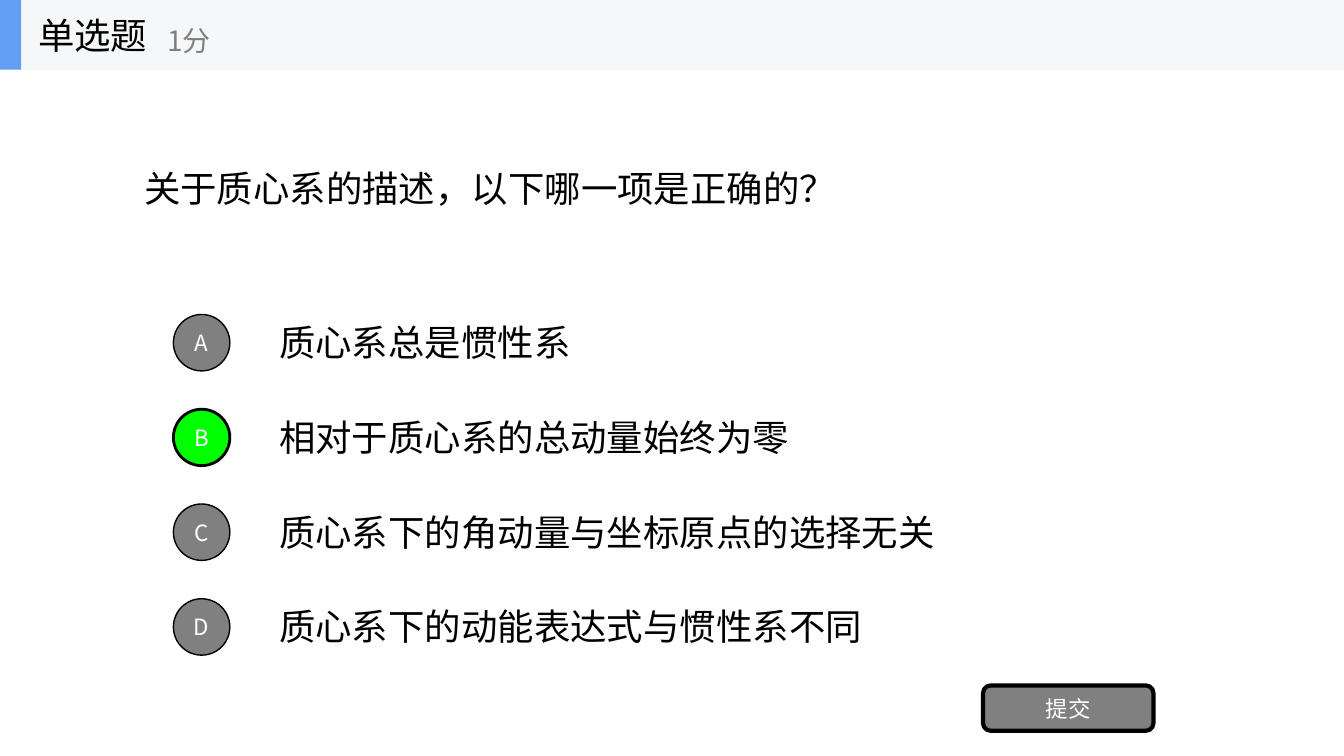
from dataclasses import dataclass

from lxml import etree
from pptx import Presentation
from pptx.dml.color import RGBColor
from pptx.enum.shapes import MSO_SHAPE
from pptx.enum.text import MSO_ANCHOR, PP_ALIGN
from pptx.oxml.ns import qn
from pptx.util import Inches, Pt

RECT = MSO_SHAPE.RECTANGLE
ROUNDED = MSO_SHAPE.ROUNDED_RECTANGLE
OVAL = MSO_SHAPE.OVAL
MIDDLE = MSO_ANCHOR.MIDDLE
LEFT = PP_ALIGN.LEFT
CENTER = PP_ALIGN.CENTER


@dataclass(frozen=True)
class Theme:
    font: str = "Noto Sans CJK SC"
    ink: str = "000000"
    muted: str = "808080"
    light: str = "FFFFFF"
    correct: str = "00FF00"
    band: str = "F6F7F8"
    accent: str = "639EF4"
    body: int = 26
    points: int = 20
    label: int = 16


THEME = Theme()
OPTIONS = [
    ("A", "质心系总是惯性系"),
    ("B", "相对于质心系的总动量始终为零"),
    ("C", "质心系下的角动量与坐标原点的选择无关"),
    ("D", "质心系下的动能表达式与惯性系不同"),
]
ANSWER = "B"


def write(sp, text, size, color, align=LEFT, inset=0.1):
    tf = sp.text_frame
    tf.word_wrap = True
    tf.vertical_anchor = MIDDLE
    tf.margin_left = tf.margin_right = Inches(inset)
    tf.margin_top = tf.margin_bottom = 0
    tf.text = text
    p = tf.paragraphs[0]
    p.alignment = align
    font = p.runs[0].font
    font.size = Pt(size)
    font.color.rgb = RGBColor.from_string(color)
    font.name = THEME.font
    ea = etree.SubElement(p.runs[0]._r.get_or_add_rPr(), qn("a:ea"))
    ea.set("typeface", THEME.font)


def add_text(shapes, box, text, size, color):
    sp = shapes.add_textbox(*map(Inches, box))
    write(sp, text, size, color)


def add_shape(shapes, kind, box, fill, line=0):
    sp = shapes.add_shape(kind, *map(Inches, box))
    sp.shadow.inherit = False
    sp.fill.solid()
    sp.fill.fore_color.rgb = RGBColor.from_string(fill)
    if line:
        sp.line.color.rgb = RGBColor.from_string(THEME.ink)
        sp.line.width = Pt(line)
    else:
        sp.line.fill.background()
    return sp


def add_button(shapes, kind, box, text, fill, line):
    sp = add_shape(shapes, kind, box, fill, line)
    write(sp, text, THEME.label, THEME.light, CENTER, 0)


def add_sentence(shapes, x, y, text):
    w = len(text) * THEME.body / 72 + 0.31
    add_text(shapes, (x, y, w, 0.53), text, THEME.body, THEME.ink)


def add_options(shapes, x, y, pitch):
    for i, (letter, text) in enumerate(OPTIONS):
        top = y + i * pitch
        fill, line = (THEME.correct, 2) if letter == ANSWER else (THEME.muted, 1)
        add_sentence(shapes, x + 0.95, top + 0.01, text)
        add_button(shapes, OVAL, (x, top, 0.56, 0.56), letter, fill, line)


def add_header(shapes, x, y, w, h):
    group = shapes.add_group_shape().shapes
    add_shape(group, RECT, (x, y, w, h), THEME.band)
    add_shape(group, RECT, (x, y, 0.21, h), THEME.accent)
    add_text(group, (x + 0.28, y, 2.08, h), "单选题", THEME.body, THEME.ink)
    add_text(group, (x + 1.56, y + 0.12, 2.5, 0.56), "1分", THEME.points, THEME.muted)


def main():
    prs = Presentation()
    prs.slide_width = Inches(13.33)
    prs.slide_height = Inches(7.5)
    s = prs.slides.add_slide(prs.slide_layouts[6])
    add_sentence(s.shapes, 1.33, 1.6, "关于质心系的描述，以下哪一项是正确的？")
    add_options(s.shapes, 1.72, 3.12, 0.94)
    add_button(s.shapes, ROUNDED, (9.75, 6.8, 1.69, 0.45), "提交", THEME.muted, 3)
    add_header(s.shapes, 0, 0, 13.33, 0.69)
    prs.save("out.pptx")


if __name__ == "__main__":
    main()
